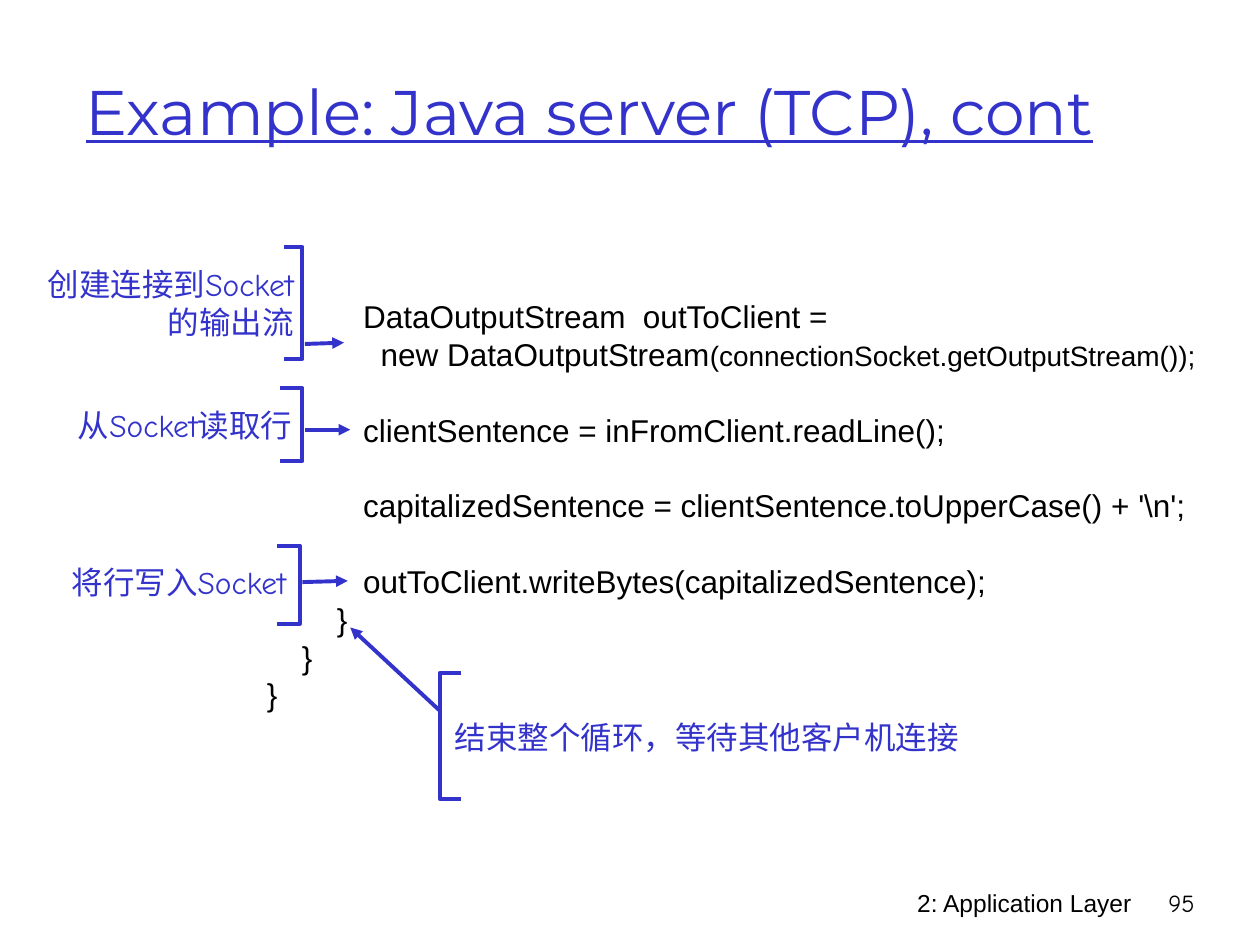
from dataclasses import dataclass

from lxml.etree import SubElement
from pptx import Presentation
from pptx.dml.color import RGBColor
from pptx.enum.shapes import MSO_CONNECTOR
from pptx.enum.text import MSO_ANCHOR, MSO_AUTO_SIZE, PP_ALIGN
from pptx.oxml.ns import qn
from pptx.util import Inches, Pt


@dataclass(frozen=True)
class Theme:
    accent: RGBColor = RGBColor(0x33, 0x33, 0xCC)
    ink: RGBColor = RGBColor(0, 0, 0)
    title_font: str = "Montserrat"
    code_font: str = "Arial"
    note_font: str = "Comic Neue"
    title: int = 36
    body: int = 18
    call: int = 16
    footer: int = 14
    code_pitch: float = 21.6
    stroke: float = 2.25


T = Theme()
COLS, ROWS = 100, 75  # the slide grid: square cells of 0.1 inch


def cells(*values):
    return [Inches(v / 10) for v in values]


def add_run(p, text, font=T.code_font, size=T.body, color=T.ink, underline=None):
    r = p.add_run()
    r.text = text
    r.font.name, r.font.size, r.font.underline = font, Pt(size), underline
    r.font.color.rgb = color


def add_label(s, box, text, align=PP_ALIGN.LEFT, wrap=True, anchor=MSO_ANCHOR.TOP, **fmt):
    tf = s.shapes.add_textbox(*cells(*box)).text_frame
    tf.word_wrap, tf.vertical_anchor = wrap, anchor
    p = tf.paragraphs[0]
    p.alignment = align
    add_run(p, text, **fmt)
    return tf


def add_title(s, box, text):
    sp = s.shapes.title
    sp.left, sp.top, sp.width, sp.height = cells(*box)
    tf = sp.text_frame
    tf.vertical_anchor = MSO_ANCHOR.MIDDLE
    p = tf.paragraphs[0]
    p.alignment = PP_ALIGN.LEFT
    add_run(p, text, font=T.title_font, size=T.title, color=T.accent, underline=True)


def add_code(s, box, lines):
    """Each line is (blank lines before it, code, smaller code that follows)."""
    tf = s.shapes.add_textbox(*cells(*box)).text_frame
    tf.word_wrap = True
    tf.margin_top = Inches(0.59)
    for i, (gap, code, call) in enumerate(lines):
        p = tf.add_paragraph() if i else tf.paragraphs[0]
        p.line_spacing = Pt(T.code_pitch)
        p.space_before = Pt(gap * T.code_pitch)
        add_run(p, code)
        if call:
            add_run(p, call, size=T.call)


def add_bracket(s, spine, top, height, arm):
    """A bracket whose arms reach from the spine by arm, to the left if negative."""
    points = [(spine + arm, top), (spine, top),
              (spine, top + height), (spine + arm, top + height)]
    points = [tuple(cells(x, y)) for x, y in points]
    fb = s.shapes.build_freeform(*points[0])
    fb.add_line_segments(points[1:], close=False)
    sp = fb.convert_to_shape()
    sp.shadow.inherit = False
    sp.fill.background()
    sp.line.color.rgb, sp.line.width = T.accent, Pt(T.stroke)


def add_arrow(s, start, end):
    c = s.shapes.add_connector(MSO_CONNECTOR.STRAIGHT, *cells(*start, *end))
    c.line.color.rgb, c.line.width = T.accent, Pt(T.stroke)
    SubElement(c.line._get_or_add_ln(), qn("a:tailEnd"), type="triangle")
    SubElement(c._element.spPr, qn("a:effectLst"))


def add_note(s, box, text, spine, top, height, arm, arrow, wrap=False):
    """A label, the bracket beside it and an arrow to the code."""
    align = PP_ALIGN.RIGHT if arm < 0 else PP_ALIGN.LEFT
    tf = add_label(s, box, text, align, wrap, MSO_ANCHOR.MIDDLE,
                   font=T.note_font, color=T.accent)
    tf.auto_size = MSO_AUTO_SIZE.SHAPE_TO_FIT_TEXT
    add_bracket(s, spine, top, height, arm)
    add_arrow(s, *arrow)


def add_footer(s, box, text, number):
    left, top, width, height = box
    split = width - 5  # the number takes the last five columns
    parts = [(left, split, text, T.code_font), (left + split, 5, number, T.note_font)]
    for x, w, words, font in parts:
        add_label(s, (x, top, w, height), words, PP_ALIGN.RIGHT, font=font, size=T.footer)


CODE = [
    (0, "           DataOutputStream  outToClient =", ""),
    (0, "             new DataOutputStream", "(connectionSocket.getOutputStream());"),
    (1, "           clientSentence = inFromClient.readLine();", ""),
    (1, "           capitalizedSentence = clientSentence.toUpperCase() + '\\n';", ""),
    (1, "           outToClient.writeBytes(capitalizedSentence);", ""),
    (0, "        }", ""),
    (0, "    }", ""),
    (0, "}", ""),
]

# label box, text, bracket spine, top, height and arm, arrow
NOTES = [
    ((1.4, 20.5, 22.9, 7.1), "创建连接到Socket的输出流", 24, 19.6, 8.9, -1.5,
     ((24.2, 27.3), (27.3, 27.2)), True),
    ((3.8, 31.7, 20.4, 4), "从Socket读取行", 24, 30.8, 5.8, -1.8,
     ((24.2, 34.1), (27.8, 34.1))),
    ((3.3, 44.2, 20.4, 4), "将行写入Socket", 23.8, 43.3, 6.2, -1.8,
     ((24, 46.2), (27.6, 46.1))),
    ((35.1, 56.5, 42, 4), "结束整个循环，等待其他客户机连接", 34.9, 53.4, 10, 1.7,
     ((34.9, 56.4), (27.8, 49.8))),
]


def main():
    prs = Presentation()
    prs.slide_width, prs.slide_height = cells(COLS, ROWS)
    s = prs.slides.add_slide(prs.slide_layouts[5])
    add_title(s, (5.8, 2.5, 85, 12.5), "Example: Java server (TCP), cont")
    add_code(s, (20.2, 17.7, 76.5, 43.4), CODE)
    for note in NOTES:
        add_note(s, *note)
    add_footer(s, (59.2, 70, 36.6, 5), "2: Application Layer", "95")
    prs.save("out.pptx")


if __name__ == "__main__":
    main()
